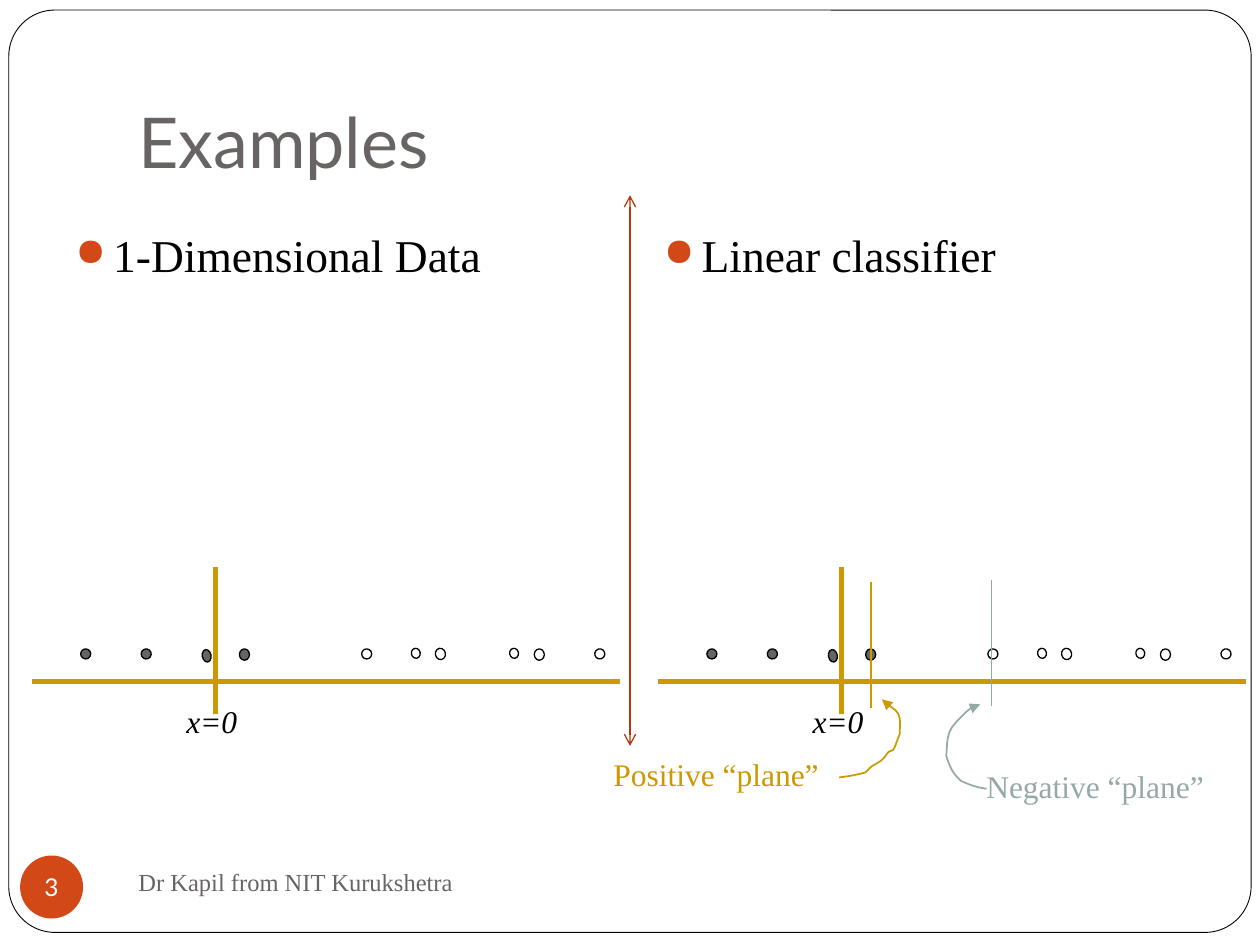
"""Build a slide on one-dimensional data and its linear classifier."""
import dataclasses

import pptx
import pptx.dml.color
import pptx.enum.shapes
import pptx.enum.text
import pptx.oxml.ns
import pptx.oxml.xmlchemy
import pptx.util
from lxml import etree

Inches = pptx.util.Inches
Pt = pptx.util.Pt
SHAPE = pptx.enum.shapes.MSO_SHAPE
ANCHOR = pptx.enum.text.MSO_ANCHOR
ALIGN = pptx.enum.text.PP_ALIGN
FIT = pptx.enum.text.MSO_AUTO_SIZE


@dataclasses.dataclass(frozen=True)
class Theme:
    """Hold the colours, fonts and type sizes."""
    sans: str = "Lato"
    serif: str = "Times New Roman"
    black: str = "000000"
    white: str = "FFFFFF"
    gray: str = "696464"
    orange: str = "D34817"
    rust: str = "B1360B"
    gold: str = "CC9900"
    sage: str = "96A9A9"
    title: int = 40
    body: int = 26
    label: int = 18
    small: int = 14


THEME = Theme()
PITCH = 4.97
DOTS = [
    (0.64, 5.15, 0.08, 0.08, 0, THEME.gray),
    (1.12, 5.15, 0.08, 0.08, 98.3, THEME.gray),
    (1.59, 5.17, 0.1, 0.07, 79.6, THEME.gray),
    (1.9, 5.15, 0.08, 0.09, 0, THEME.gray),
    (2.87, 5.15, 0.08, 0.08, 0, THEME.white),
    (3.26, 5.15, 0.08, 0.07, 79.6, THEME.white),
    (3.45, 5.15, 0.09, 0.08, 79.6, THEME.white),
    (4.04, 5.15, 0.08, 0.07, 79.6, THEME.white),
    (4.24, 5.15, 0.08, 0.09, 0, THEME.white),
    (4.72, 5.15, 0.08, 0.08, 341.4, THEME.white),
]
GOLD_CURVE = [
    (6.66, 6.17), (6.74, 6.16), (6.8, 6.15), (6.87, 6.13),
    (6.93, 6.07), (6.89, 6.1), (6.99, 6.04),
    (7, 6.03), (7.02, 6.01), (7.02, 6.01),
    (7.03, 6), (7.04, 5.98), (7.05, 5.97),
    (7.06, 5.96), (7.08, 5.96), (7.09, 5.95),
    (7.11, 5.92), (7.12, 5.87), (7.14, 5.83),
    (7.14, 5.77), (7.16, 5.69), (7.11, 5.64),
    (7.09, 5.62), (7.04, 5.59), (7.04, 5.59),
    (7.01, 5.55), (7.03, 5.55), (7, 5.55),
]
SAGE_CURVE = [
    (7.83, 6.26), (7.75, 6.25), (7.7, 6.23), (7.63, 6.2),
    (7.56, 6.14), (7.54, 6.09), (7.51, 6),
    (7.52, 5.89), (7.51, 5.81), (7.59, 5.73),
    (7.62, 5.7), (7.69, 5.62), (7.74, 5.6),
    (7.76, 5.6), (7.78, 5.59), (7.78, 5.59),
]


def paint(color):
    """Turn a hex string into a colour."""
    return pptx.dml.color.RGBColor.from_string(color)


def add_tag(parent, tag, **attrs):
    """Append a drawing element with attributes."""
    return etree.SubElement(parent, pptx.oxml.ns.qn(tag), **attrs)


def set_line(item, color, width, **ends):
    """Style an outline and its arrowheads."""
    item.line.color.rgb = paint(color)
    item.line.width = Pt(width)
    for side in ("head", "tail"):
        if side in ends:
            add_tag(item.line._get_or_add_ln(), f"a:{side}End", type=ends[side])


def add_line(shapes, start, end, color, width, **ends):
    """Draw a straight line between two points."""
    kind = pptx.enum.shapes.MSO_CONNECTOR.STRAIGHT
    line = shapes.add_connector(kind, *map(Inches, start + end))
    set_line(line, color, width, **ends)
    add_tag(line._element.spPr, "a:effectLst")


def add_form(shapes, kind, box, fill, line=None, width=0.75):
    """Draw a filled preset shape."""
    form = shapes.add_shape(kind, *map(Inches, box))
    form.shadow.inherit = False
    form.fill.solid()
    form.fill.fore_color.rgb = paint(fill)
    if line:
        set_line(form, line, width)
    else:
        form.line.fill.background()
    return form


def set_text(frame, text, size, color, font, italic=None):
    """Write one styled paragraph and return it."""
    frame.text = text
    para = frame.paragraphs[0]
    face = para.runs[0].font
    face.name, face.size, face.italic = font, Pt(size), italic
    face.color.rgb = paint(color)
    return para


def add_text(shapes, box, text, size, color, font=THEME.serif, italic=None):
    """Add a wrapped text box."""
    frame = shapes.add_textbox(*map(Inches, box)).text_frame
    frame.word_wrap = True
    set_text(frame, text, size, color, font, italic)
    return frame


def add_label(shapes, box, text, color, italic=None):
    """Add a label that fits its text."""
    frame = add_text(shapes, box, text, THEME.label, color, italic=italic)
    frame.auto_size = FIT.SHAPE_TO_FIT_TEXT


def add_bullet(shapes, left, text):
    """Add a column heading with a round bullet."""
    frame = add_text(shapes, (left, 1.75, 4.42, 0.92), text, THEME.body, THEME.black)
    para = frame.paragraphs[0]
    para.space_before = Pt(5.8)
    props = para._p.get_or_add_pPr()
    props.set("marL", str(Inches(0.3)))
    props.set("indent", str(Inches(-0.3)))
    add_tag(add_tag(props, "a:buClr"), "a:srgbClr", val=THEME.orange)
    add_tag(props, "a:buSzPct", val="85000")
    add_tag(props, "a:buChar", char="●")


def add_plot(shapes, shift):
    """Draw the axes and data points as one group."""
    group = shapes.add_group_shape().shapes
    zero, left = 1.71 + shift, 0.25 + shift
    add_line(group, (zero, 4.5), (zero, 5.67), THEME.gold, 3)
    add_line(group, (left, 5.41), (left + 4.67, 5.41), THEME.gold, 3)
    for x, y, wide, high, turn, fill in DOTS:
        box = (x + shift, y, wide, high)
        add_form(group, SHAPE.OVAL, box, fill, THEME.black).rotation = turn
    add_label(shapes, (1.38 + shift, 5.52, 0.99, 0.4), "x=0", THEME.black, True)


def add_curve(shapes, knots, color, steps=6):
    """Trace cubic curves and end them with an arrow."""
    trace = [knots[0]]
    for i in range(0, len(knots) - 1, 3):
        for j in range(1, steps + 1):
            t = j / steps
            parts = ((1 - t) ** 3, 3 * t * (1 - t) ** 2, 3 * t * t * (1 - t), t ** 3)
            trace.append([sum(w * knot[axis] for w, knot in zip(parts, knots[i:i + 4]))
                          for axis in (0, 1)])
    spots = [(Inches(x), Inches(y)) for x, y in trace]
    pen = shapes.build_freeform(*spots[0])
    pen.add_line_segments(spots[1:], close=False)
    curve = pen.convert_to_shape()
    curve.shadow.inherit = False
    curve.fill.background()
    set_line(curve, color, 1, tail="triangle")


def add_frame(shapes):
    """Draw the border, title, footer and page number."""
    border = add_form(shapes, SHAPE.ROUNDED_RECTANGLE, (0.07, 0.08, 9.86, 7.32),
                      THEME.white, THEME.black, 0.5)
    border.adjustments[0] = 0.05
    title = add_text(shapes, (1, 0.3, 8.5, 1.25), "Examples",
                     THEME.title, THEME.gray, THEME.sans)
    title.vertical_anchor = ANCHOR.BOTTOM
    title.margin_bottom = Inches(0.1)
    foot = add_text(shapes, (1, 6.75, 4.33, 0.5), "Dr Kapil from NIT Kurukshetra",
                    THEME.small, THEME.gray)
    foot.vertical_anchor = ANCHOR.MIDDLE
    badge = add_form(shapes, SHAPE.OVAL, (0.16, 6.79, 0.5, 0.5), THEME.orange).text_frame
    badge.margin_left = badge.margin_right = badge.margin_top = badge.margin_bottom = 0
    badge.word_wrap = False
    badge.vertical_anchor = ANCHOR.MIDDLE
    para = set_text(badge, "3", THEME.small, THEME.white, THEME.sans)
    para.alignment = ALIGN.CENTER


def main():
    """Build and save the slide."""
    deck = pptx.Presentation()
    deck.slide_width, deck.slide_height = Inches(10), Inches(7.5)
    shapes = deck.slides.add_slide(deck.slide_layouts[6]).shapes
    add_frame(shapes)
    add_bullet(shapes, 0.5, "1-Dimensional Data")
    add_bullet(shapes, 5.17, "Linear classifier")
    for shift in (0, PITCH):
        add_plot(shapes, shift)
    add_line(shapes, (6.91, 5.62), (6.91, 4.62), THEME.gold, 1)
    add_line(shapes, (7.87, 5.6), (7.87, 4.6), THEME.sage, 1)
    add_label(shapes, (4.77, 5.94, 2.44, 0.43), "Positive “plane”", THEME.gold)
    add_label(shapes, (7.73, 6.04, 2.44, 0.43), "Negative “plane”", THEME.sage)
    add_curve(shapes, GOLD_CURVE, THEME.gold)
    add_curve(shapes, SAGE_CURVE, THEME.sage)
    add_line(shapes, (5, 1.55), (5, 5.92), THEME.rust, 0.75, head="arrow", tail="arrow")
    deck.save("out.pptx")


if __name__ == "__main__":
    main()
